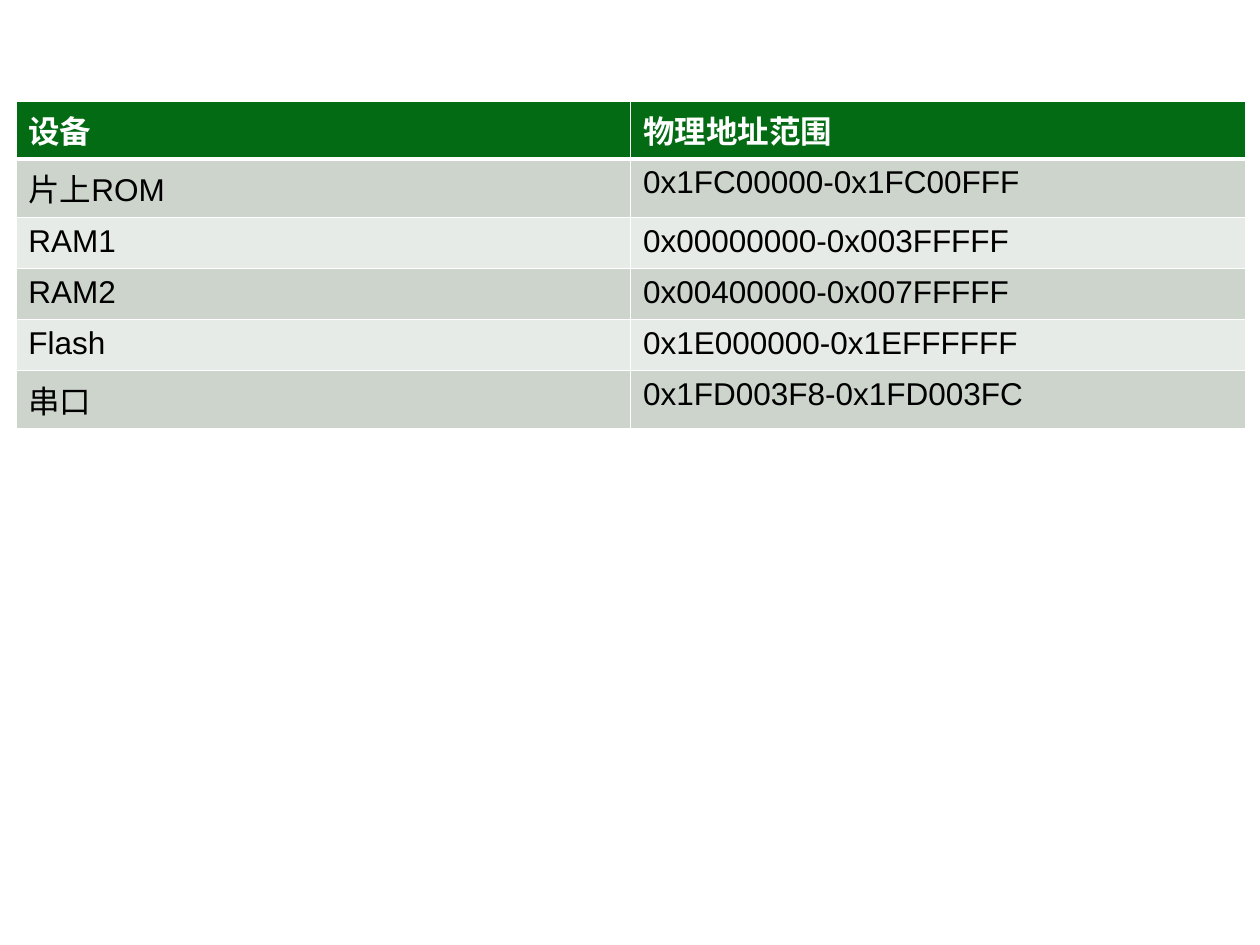
from lxml import etree
from pptx import Presentation
from pptx.dml.color import RGBColor
from pptx.oxml.ns import qn
from pptx.util import Pt

ROWS = [
    ("设备", "物理地址范围"),
    ("片上ROM", "0x1FC00000-0x1FC00FFF"),
    ("RAM1", "0x00000000-0x003FFFFF"),
    ("RAM2", "0x00400000-0x007FFFFF"),
    ("Flash", "0x1E000000-0x1EFFFFFF"),
    ("串口", "0x1FD003F8-0x1FD003FC"),
]
WHITE = RGBColor(0xFF, 0xFF, 0xFF)
BLACK = RGBColor(0, 0, 0)
GREEN = RGBColor(0x03, 0x6B, 0x13)
BANDS = (RGBColor(0xE7, 0xEB, 0xE7), RGBColor(0xCC, 0xD4, 0xCC))
LEFT, TOP, COL_W, ROW_H = 9, 57.6, 351.3, 29.2
THIN, THICK = 1, 3


def set_borders(cell, widths):
    tc_pr = cell._tc.get_or_add_tcPr()
    for i, (side, width) in enumerate(widths.items()):
        ln = etree.Element(qn("a:ln" + side), w=str(Pt(width)))
        fill = etree.SubElement(ln, qn("a:solidFill"))
        etree.SubElement(fill, qn("a:srgbClr"), val=str(WHITE))
        tc_pr.insert(i, ln)


def fill_cell(cell, text, row):
    header = row == 0
    cell.fill.solid()
    cell.fill.fore_color.rgb = GREEN if header else BANDS[row % 2]
    r = cell.text_frame.paragraphs[0].add_run()
    r.text = text
    font = {"name": "Arial", "size": Pt(18), "bold": header}
    for key, value in font.items():
        setattr(r.font, key, value)
    r.font.color.rgb = WHITE if header else BLACK
    set_borders(cell, {
        "L": THIN,
        "R": THIN,
        "T": THICK if row == 1 else THIN,
        "B": THICK if header else THIN,
    })


prs = Presentation()
prs.slide_width, prs.slide_height = Pt(720), Pt(540)
s = prs.slides.add_slide(prs.slide_layouts[6])
n_rows, n_cols = len(ROWS), len(ROWS[0])
table = s.shapes.add_table(
    n_rows, n_cols, Pt(LEFT), Pt(TOP), Pt(COL_W * n_cols), Pt(ROW_H * n_rows)
).table
for column in table.columns:
    column.width = Pt(COL_W)
for i, texts in enumerate(ROWS):
    table.rows[i].height = Pt(ROW_H)
    for j, text in enumerate(texts):
        fill_cell(table.cell(i, j), text, i)
prs.save("out.pptx")
